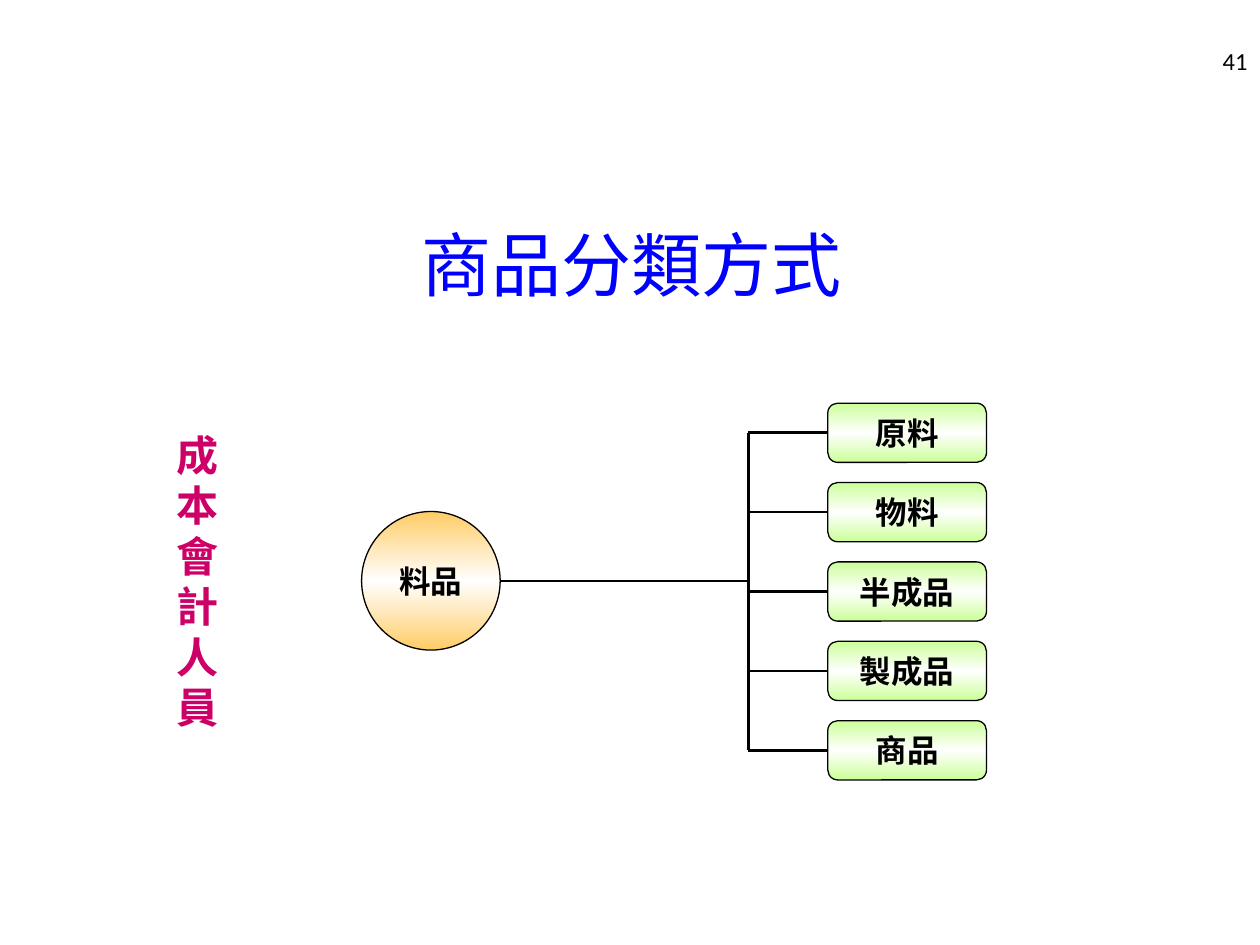
from copy import deepcopy

from pptx import Presentation
from pptx.dml.color import RGBColor
from pptx.enum.shapes import MSO_CONNECTOR, MSO_SHAPE
from pptx.enum.text import MSO_ANCHOR, PP_ALIGN
from pptx.oxml.ns import qn
from pptx.util import Inches, Pt
from lxml import etree

STRAIGHT = MSO_CONNECTOR.STRAIGHT
OVAL, ROUNDED = MSO_SHAPE.OVAL, MSO_SHAPE.ROUNDED_RECTANGLE
TOP, MIDDLE = MSO_ANCHOR.TOP, MSO_ANCHOR.MIDDLE
LEFT, CENTER, RIGHT = PP_ALIGN.LEFT, PP_ALIGN.CENTER, PP_ALIGN.RIGHT

COLORS = {
    "black": "000000",
    "white": "FFFFFF",
    "title": "0000FF",
    "role": "CC0066",
    "root": "FFCC66",
    "category": "CCFF99",
}
CATEGORIES = ["原料", "物料", "半成品", "製成品", "商品"]
BOX_LEFT, BOX_TOP, BOX_WIDTH, BOX_HEIGHT = 6.57, 3.2, 1.26, 0.47
BOX_PITCH = 0.63
TRUNK_X = 5.94
ROOT_LEFT, ROOT_TOP, ROOT_SIZE = 2.87, 4.06, 1.1


def color(name):
    return RGBColor.from_string(COLORS[name])


def write_text(shape, text, size, font, color_name, bold=False,
               align=CENTER, anchor=MIDDLE, wrap=True):
    frame = shape.text_frame
    frame.text = text
    frame.word_wrap = wrap
    frame.vertical_anchor = anchor
    para = frame.paragraphs[0]
    para.alignment = align
    span = para.runs[0]
    span.font.size = Pt(size)
    span.font.name = font
    span.font.bold = bold
    span.font.color.rgb = color(color_name)


def add_text(page, place, *args, **options):
    box = page.shapes.add_textbox(*map(Inches, place))
    write_text(box, *args, **options)


def fill_gradient(shape, edge):
    shape.fill.gradient()
    shape.fill.gradient_angle = 90
    for stop in shape.fill.gradient_stops:
        stop.color.rgb = color(edge)
    first = shape._element.spPr.find(".//" + qn("a:gs"))
    center = deepcopy(first)
    center.set("pos", "50000")
    first.addnext(center)
    shape.fill.gradient_stops[1].color.rgb = color("white")


def add_node(page, kind, place, text, edge):
    node = page.shapes.add_shape(kind, *map(Inches, place))
    node.shadow.inherit = False
    fill_gradient(node, edge)
    node.line.color.rgb = color("black")
    node.line.width = Pt(0.75)
    write_text(node, text, 18, "Arial", "black", bold=True, wrap=False)


def add_line(page, *ends):
    line = page.shapes.add_connector(STRAIGHT, *map(Inches, ends))
    line.line.color.rgb = color("black")
    line.line.width = Pt(1.5)
    etree.SubElement(line._element.spPr, qn("a:effectLst"))


def add_tree(page):
    add_node(page, OVAL, (ROOT_LEFT, ROOT_TOP, ROOT_SIZE, ROOT_SIZE),
             "料品", "root")
    root_y = ROOT_TOP + ROOT_SIZE / 2
    add_line(page, ROOT_LEFT + ROOT_SIZE, root_y, TRUNK_X, root_y)
    first_y = BOX_TOP + BOX_HEIGHT / 2
    for index, name in enumerate(CATEGORIES):
        offset = index * BOX_PITCH
        add_node(page, ROUNDED,
                 (BOX_LEFT, BOX_TOP + offset, BOX_WIDTH, BOX_HEIGHT),
                 name, "category")
        add_line(page, TRUNK_X, first_y + offset, BOX_LEFT, first_y + offset)
    last_y = first_y + (len(CATEGORIES) - 1) * BOX_PITCH
    add_line(page, TRUNK_X, first_y, TRUNK_X, last_y)


def main():
    deck = Presentation()
    deck.slide_width, deck.slide_height = Inches(10), Inches(7.5)
    page = deck.slides.add_slide(deck.slide_layouts[6])
    add_text(page, (7.67, 0.28, 2.33, 0.4), "41", 14, "Calibri", "black",
             align=RIGHT)
    add_text(page, (0.51, 1.47, 9, 1.25), "商品分類方式", 40,
             "Times New Roman", "title")
    add_text(page, (1.3, 3.36, 0.71, 2.5), "成本會計人員", 24, "Arial",
             "role", bold=True, align=LEFT, anchor=TOP)
    add_tree(page)
    deck.save("out.pptx")


if __name__ == "__main__":
    main()
